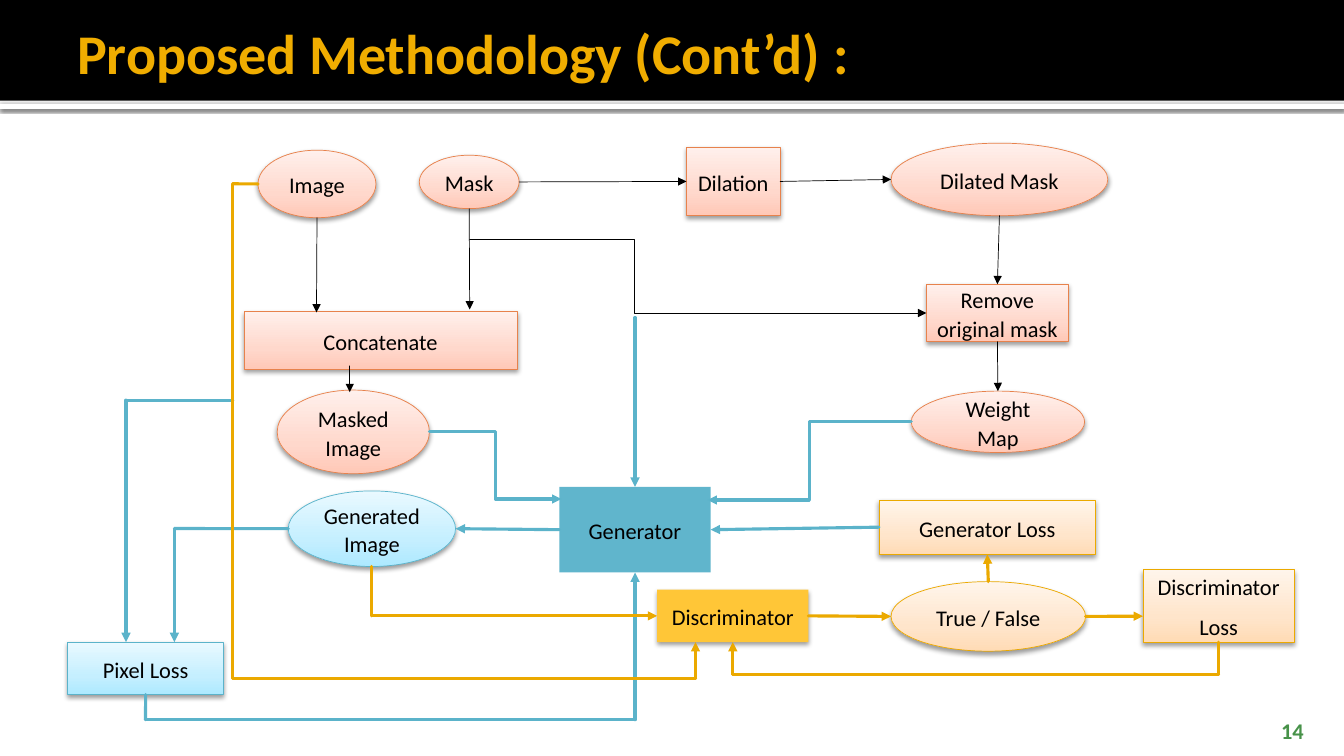
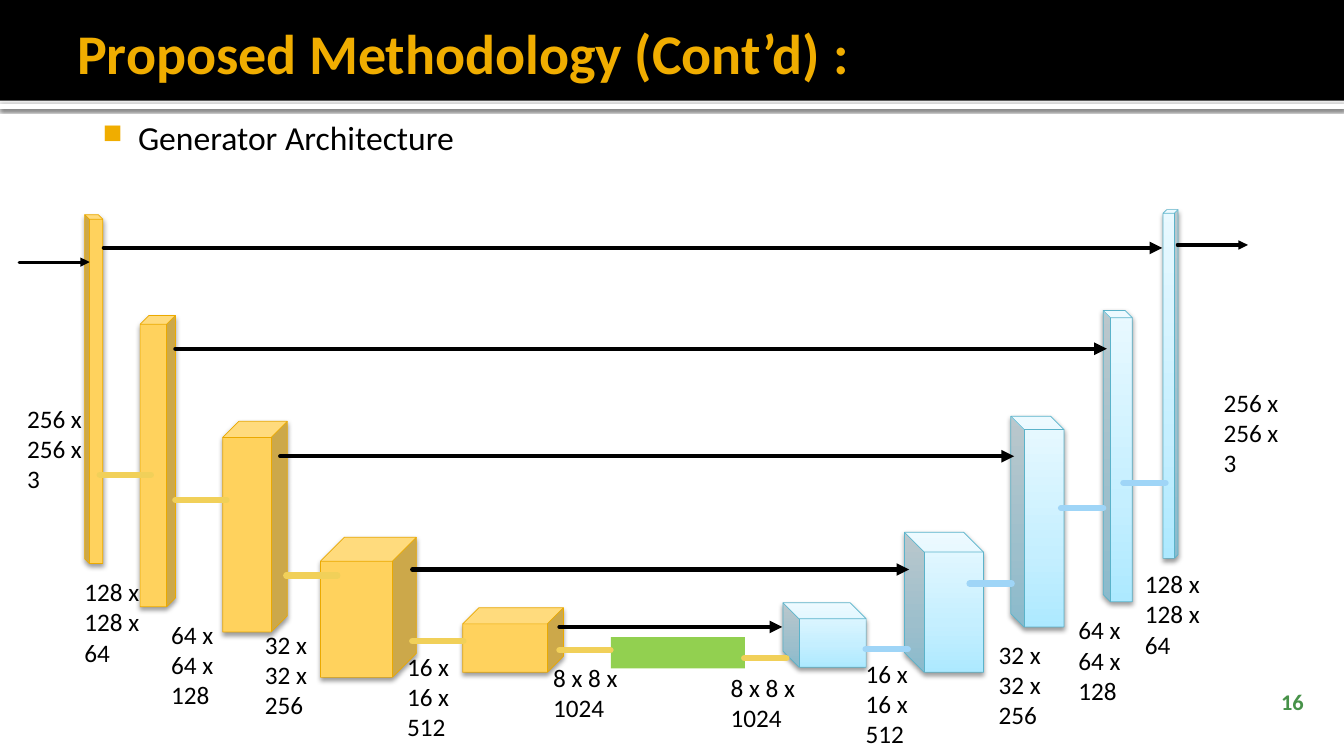
from dataclasses import dataclass
from copy import deepcopy
from itertools import pairwise

from lxml import etree
from pptx import Presentation
from pptx import util as u
from pptx.dml.color import RGBColor
from pptx.enum import shapes, text
from pptx.oxml.ns import qn

COLS, ROWS = 40, 22.5
CELL = u.Inches(1) / 3
TOP, LEFT, BOTTOM, RIGHT = range(4)
RECT = shapes.MSO_SHAPE.RECTANGLE
OVAL = shapes.MSO_SHAPE.OVAL
CUBE = shapes.MSO_SHAPE.CUBE
BLANK = 6


@dataclass(frozen=True)
class Look:
    """Fill is one colour or three gradient colours from the bottom up."""
    fill: tuple
    edge: str = ""
    shade: tuple = (38, 3.5, 2)  # opacity %, blur and offset in points


@dataclass(frozen=True)
class Pen:
    hue: str
    width: float


@dataclass(frozen=True)
class Theme:
    font: str = "Calibri"
    ink: str = "000000"
    gold: str = "F0AD00"
    green: str = "479249"
    title: int = 40
    body: int = 24
    label: int = 18
    node: int = 16
    band: Look = Look(("000000",), shade=())
    rule: Look = Look(("FFFFFF",), shade=(60, 2.5, 0.8))
    coral: Look = Look(("FFC8B7", "FFD8CC", "FFF0EC"), "E7824C")
    sky: Look = Look(("ADE9FF", "C5EFFF", "E9F9FF"), "5BB3CA")
    peach: Look = Look(("FFDBB5", "FFE5CB", "FFF5EB"), "EBA900")
    amber: Look = Look(("FFC637",))
    teal: Look = Look(("60B5CC",), shade=())
    yolk: Look = Look(("FFD25D",), "EBA900")
    leaf: Look = Look(("92D050",), shade=())
    thin: Pen = Pen("000000", 0.5)
    flow: Pen = Pen("5BB3CA", 2.25)
    loss: Pen = Pen("EBA900", 2.25)
    port: Pen = Pen("000000", 2.25)
    skip: Pen = Pen("000000", 3)
    down: Pen = Pen("F1D059", 4.5)
    up: Pen = Pen("9FD5F7", 4.5)


T = Theme()


def rgb(hue):
    return RGBColor.from_string(hue)


def grid(*cells):
    return [round(c * CELL) for c in cells]


def sub(parent, tag, **attrs):
    return etree.SubElement(parent, qn(tag), {k: str(v) for k, v in attrs.items()})


def paint(shape, look):
    fill, props = shape.fill, shape._element.spPr
    if len(look.fill) == 1:
        fill.solid()
        fill.fore_color.rgb = rgb(look.fill[0])
    else:
        fill.gradient()
        fill.gradient_angle = 90
        stops = props.find(".//" + qn("a:gsLst"))
        stops.insert(1, deepcopy(stops[0]))
        for stop, hue, place in zip(fill.gradient_stops, look.fill, (0, 0.35, 1)):
            stop.color.rgb = rgb(hue)
            stop.position = place
    if look.edge:
        shape.line.color.rgb = rgb(look.edge)
        shape.line.width = u.Pt(0.5)
    else:
        shape.line.fill.background()
    shape.shadow.inherit = False
    if look.shade:
        alpha, blur, dist = look.shade
        glow = sub(props.find(qn("a:effectLst")), "a:outerShdw", blurRad=u.Pt(blur),
                   dist=u.Pt(dist), dir=5400000, rotWithShape=0)
        sub(sub(glow, "a:srgbClr", val=T.ink), "a:alpha", val=alpha * 1000)


def style(frame, size, hue=T.ink, bold=False, align=None):
    for para in frame.paragraphs:
        para.alignment = align
        for run in para.runs:
            font = run.font
            font.name, font.size, font.bold = T.font, u.Pt(size), bold
            font.color.rgb = rgb(hue)


def block(slide, kind, box, look, flip=False):
    shape = slide.shapes.add_shape(kind, *grid(*box))
    paint(shape, look)
    if flip:
        shape._element.spPr.find(qn("a:xfrm")).set("flipH", "1")
    return shape


def node(slide, kind, box, look, words):
    shape = block(slide, kind, box, look)
    frame = shape.text_frame
    frame.text = words
    style(frame, T.node, align=text.PP_ALIGN.CENTER)
    for para in frame.paragraphs:
        para.line_spacing, para.space_after = 1.07, u.Pt(8)
    return shape


def write(slide, box, words, size, insets=(0.1, 0.05, 0.1, 0.05),
          anchor=text.MSO_ANCHOR.TOP, **kind):
    frame = slide.shapes.add_textbox(*grid(*box)).text_frame
    frame.word_wrap = True
    frame.vertical_anchor = anchor
    (frame.margin_left, frame.margin_top,
     frame.margin_right, frame.margin_bottom) = map(u.Inches, insets)
    frame.text = words
    style(frame, size, **kind)
    return frame


def bullet(para):
    props = para._p.get_or_add_pPr()
    props.set("marL", str(u.Inches(0.48)))
    props.set("indent", str(u.Inches(-0.35)))
    sub(sub(props, "a:buClr"), "a:srgbClr", val=T.gold)
    sub(props, "a:buSzPct", val=80000)
    sub(props, "a:buChar", char="■")


def is_port(end):
    return hasattr(end[0], "left")


def locate(end):
    """Place of a (column, row) point or of a (shape, side) port."""
    if not is_port(end):
        return grid(*end)
    shape, side = end
    dx, dy = ((0.5, 0), (0, 0.5), (0.5, 1), (1, 0.5))[side]
    return round(shape.left + dx * shape.width), round(shape.top + dy * shape.height)


def link(slide, pen, start, end, arrow=True, bend=None):
    """Straight line, or an elbow that turns at the share `bend` of its width."""
    kind = shapes.MSO_CONNECTOR.STRAIGHT if bend is None else shapes.MSO_CONNECTOR.ELBOW
    line = slide.shapes.add_connector(kind, *locate(start), *locate(end))
    line.line.color.rgb = rgb(pen.hue)
    line.line.width = u.Pt(pen.width)
    props = line._element.spPr
    stroke = props.find(qn("a:ln"))
    stroke.set("cap", "rnd")
    if arrow:
        sub(stroke, "a:tailEnd", type="triangle")
    sub(props, "a:effectLst")
    if bend is not None:
        sub(props.find(".//" + qn("a:avLst")), "a:gd", name="adj1",
            fmla=f"val {round(bend * 100000)}")
        return
    for stop, join in ((start, line.begin_connect), (end, line.end_connect)):
        if is_port(stop) and stop[0].auto_shape_type == RECT:
            join(*stop)


def route(slide, pen, *stops):
    """Chain of straight lines with an arrowhead at the last stop."""
    legs = list(pairwise(stops))
    for i, (start, end) in enumerate(legs, 1):
        link(slide, pen, start, end, arrow=i == len(legs))


def base(deck, number, row):
    slide = deck.slides.add_slide(deck.slide_layouts[BLANK])
    block(slide, RECT, (0, 3.09, COLS, 0.15), T.rule)
    block(slide, RECT, (0, 0, COLS, 3), T.band)
    write(slide, (2, 0.24, 36, 2.61), "Proposed Methodology (Cont’d) :", T.title,
          (0.1, 0.05, 0.05, 0.05), text.MSO_ANCHOR.MIDDLE, hue=T.gold, bold=True)
    write(slide, (35.9, row, 3.2, 0.9), number, T.node, (0.1, 0.05, 0.1, 0),
          text.MSO_ANCHOR.BOTTOM, hue=T.green, bold=True, align=text.PP_ALIGN.RIGHT)
    return slide


def method(deck):
    slide = base(deck, "14", 21.24)
    nodes = {key: node(slide, kind, box, look, words) for key, kind, box, look, words in (
        ("image", OVAL, (7.68, 4.47, 3.51, 2.01), T.coral, "Image"),
        ("mask", OVAL, (12.48, 4.62, 2.97, 1.59), T.coral, "Mask"),
        ("concat", RECT, (7.26, 9.27, 8.13, 1.71), T.coral, "Concatenate"),
        ("dilate", RECT, (20.43, 4.38, 2.79, 2.04), T.coral, "Dilation"),
        ("dilated", OVAL, (26.52, 4.26, 6.45, 2.16), T.coral, "Dilated Mask"),
        ("remove", RECT, (27.57, 8.46, 4.23, 1.71), T.coral, "Remove original mask"),
        ("masked", OVAL, (8.25, 11.61, 4.53, 2.49), T.coral, "Masked Image"),
        ("weight", OVAL, (27.12, 11.64, 5.16, 1.83), T.coral, "Weight Map"),
        ("gen", RECT, (16.65, 14.49, 4.5, 2.55), T.teal, "Generator"),
        ("made", OVAL, (8.58, 14.61, 4.98, 2.25), T.sky, "Generated Image"),
        ("disc", RECT, (19.56, 17.55, 4.5, 1.56), T.amber, "Discriminator"),
        ("gloss", RECT, (26.16, 14.88, 6.45, 1.62), T.peach, "Generator Loss"),
        ("dloss", RECT, (34.02, 16.95, 4.5, 2.16), T.peach, "Discriminator\nLoss"),
        ("pixel", RECT, (2.01, 19.11, 4.65, 1.56), T.sky, "Pixel Loss"),
        ("truth", OVAL, (26.52, 17.31, 5.79, 2.07), T.peach, "True / False"),
    )}

    def at(key, side):
        return nodes[key], side

    for pen, *stops in (
        (T.thin, at("mask", RIGHT), at("dilate", LEFT)),
        (T.thin, at("dilate", RIGHT), at("dilated", LEFT)),
        (T.thin, at("dilated", BOTTOM), at("remove", TOP)),
        (T.thin, at("remove", BOTTOM), at("weight", TOP)),
        (T.thin, at("image", BOTTOM), (9.42, 9.3)),
        (T.thin, at("mask", BOTTOM), (13.98, 9.21)),
        (T.thin, (10.41, 10.89), (10.41, 11.67)),
        (T.flow, (18.9, 9.45), at("gen", TOP)),
        (T.flow, at("gen", LEFT), at("made", RIGHT)),
        (T.flow, at("gloss", LEFT), at("gen", RIGHT)),
        (T.flow, (6.93, 11.91), (3.75, 11.91), (3.75, 19.11)),
        (T.flow, at("made", LEFT), (5.19, 15.73), (5.19, 19.11)),
        (T.flow, at("pixel", BOTTOM), (4.33, 21.42), (18.9, 21.42), at("gen", BOTTOM)),
        (T.loss, at("image", LEFT), (6.93, 5.47), (6.93, 20.19), (20.7, 20.19),
         (20.7, 19.11)),
        (T.loss, at("made", BOTTOM), (11.07, 18.33), at("disc", LEFT)),
        (T.loss, at("disc", RIGHT), at("truth", LEFT)),
        (T.loss, at("truth", TOP), at("gloss", BOTTOM)),
        (T.loss, at("truth", RIGHT), (34.02, 18.34)),
        (T.loss, at("dloss", BOTTOM), (36.27, 20.07), (21.81, 20.07), (21.81, 19.11)),
    ):
        route(slide, pen, *stops)
    link(slide, T.thin, (13.98, 7.11), at("remove", LEFT), bend=0.36)
    link(slide, T.flow, at("masked", RIGHT), (16.71, 14.85), bend=0.5)
    link(slide, T.flow, at("weight", LEFT), (21.06, 14.88), bend=0.5)


def mirror(col):
    """Column of the decoder that answers to a column of the encoder."""
    return 37.14 - col * 33 / 40


def network(deck):
    slide = base(deck, "16", 20.37)
    lead = write(slide, (2.49, 3.18, 36, 2.19), "Generator Architecture", T.body,
                 (0.06, 0.1, 0.1, 0.05))
    bullet(lead.paragraphs[0])
    cubes = ((2.52, 6.39, 0.54, 10.38), (4.17, 9.39, 1.05, 8.67), (6.63, 12.54, 1.92, 6.27),
             (9.54, 15.99, 2.85, 4.17), (13.77, 18.09, 3, 1.92))
    for i, (x, y, w, h) in enumerate(cubes):
        block(slide, CUBE, (x, y, w, h), T.yolk, flip=i == 0)
        end = mirror(x + w)
        block(slide, CUBE, (end, y - 0.15, mirror(x) - end, h), T.sky, flip=i > 0)
    block(slide, RECT, (18.18, 18.96, 3.99, 0.93), T.leaf)

    bars = ((2.97, 14.13), (5.22, 14.88), (8.52, 17.13), (12.27, 19.08), (16.65, 19.35))
    for x, y in bars:
        link(slide, T.down, (x, y), (x + 1.52, y), arrow=False)
        pen = T.down if (x, y) == bars[-1] else T.up
        link(slide, pen, (mirror(x), y + 0.24), (mirror(x + 1.52), y + 0.24), arrow=False)

    for start, end, y in ((3.09, 34.59, 7.38), (5.22, 32.94, 10.38), (8.34, 30.18, 13.58),
                          (12.27, 27.06, 16.95), (16.65, 23.28, 18.66)):
        link(slide, T.skip, (start, y), (end, y))
    for x, y in ((0.57, 7.8), (35.04, 7.29)):
        link(slide, T.port, (x, y), (x + 2.1, y))

    for words, width, *spots in (
        ("256 x 256 x 3", 2.52, (0.51, 11.85), (36.12, 11.37)),
        ("128 x 128 x 64", 2.52, (2.22, 17.01), (33.78, 16.77)),
        ("64 x 64 x\n128", 2.52, (4.8, 18.27), (31.8, 18.15)),
        ("32 x 32 x\n256", 2.52, (7.59, 18.57), (29.43, 18.87)),
        ("16 x 16 x\n512", 2.52, (11.82, 19.23), (25.47, 19.44)),
        ("8 x 8 x\n1024", 3, (16.17, 19.56), (21.45, 19.86)),
    ):
        for spot in spots:
            write(slide, (*spot, width, 3), words, T.label)


def main():
    deck = Presentation()
    deck.slide_width, deck.slide_height = grid(COLS, ROWS)
    method(deck)
    network(deck)
    deck.save("out.pptx")


if __name__ == "__main__":
    main()
